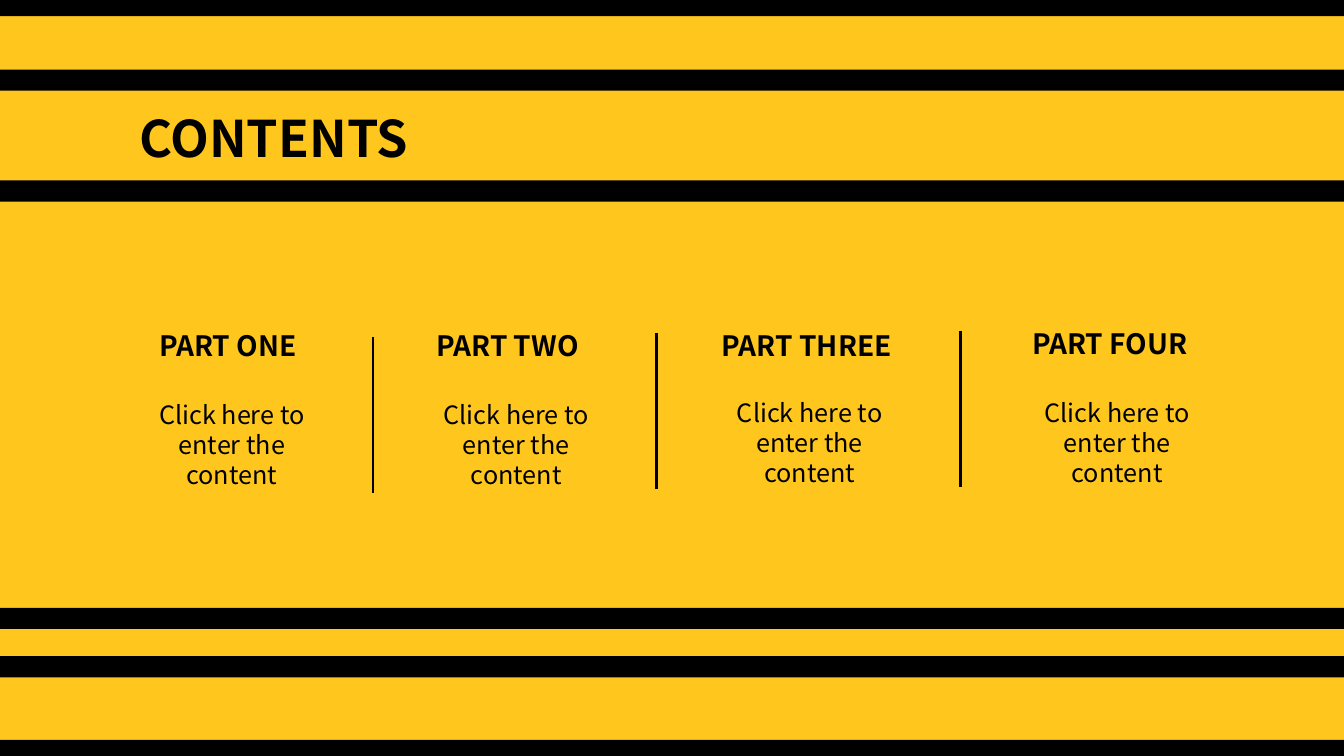
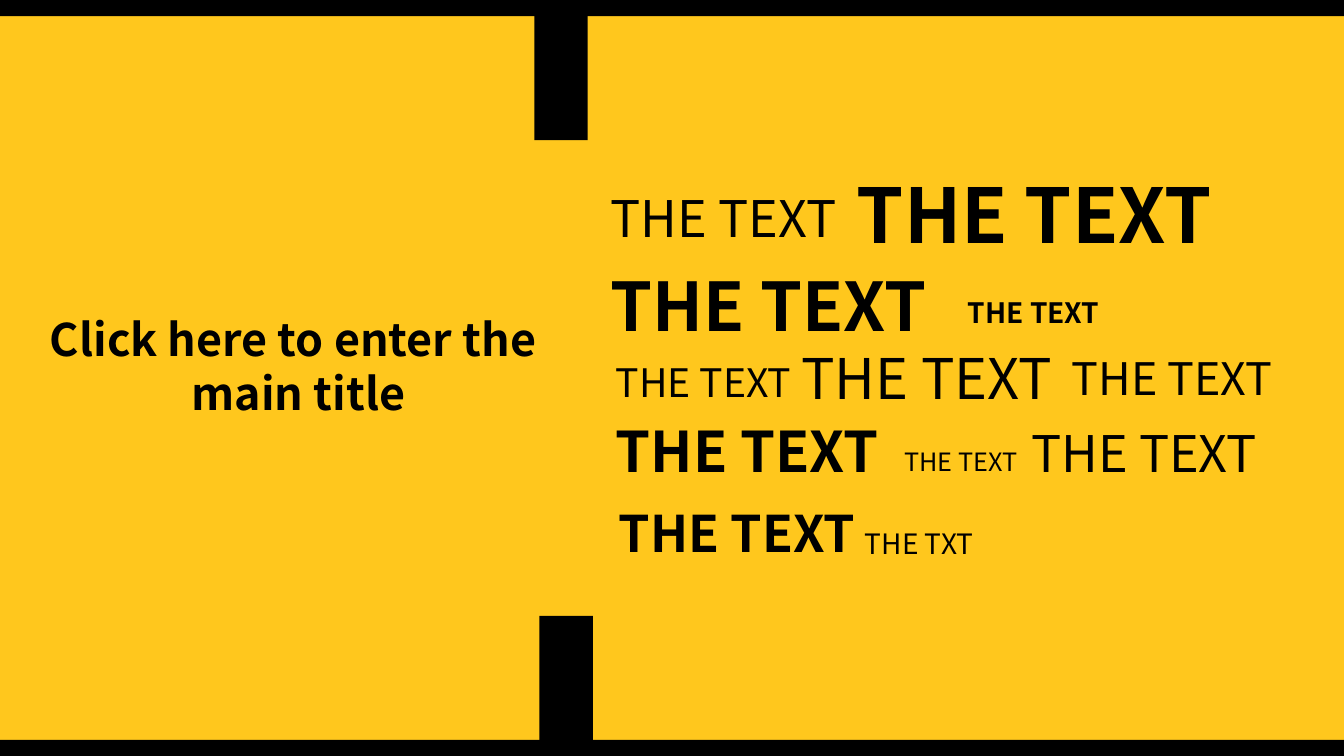
from pptx import Presentation
from pptx.dml.color import RGBColor
from pptx.enum.shapes import MSO_CONNECTOR, MSO_SHAPE
from pptx.enum.text import MSO_ANCHOR, MSO_AUTO_SIZE as AUTO, PP_ALIGN as ALIGN
from pptx.util import Inches, Pt
from lxml import etree

COLORS = {"ground": "FFC71D", "ink": "000000"}
FONT = "Noto Sans CJK SC"
WIDTH, HEIGHT = 13.33, 7.5
EDGE, STRIPE = 0.16, 0.21
DIVIDER = 1.55
TITLE_ONLY = 5
DRAWING_NS = "http://schemas.openxmlformats.org/drawingml/2006/main"

PROMPT = "Click here to enter the content"
PARTS = [
    ("PART ONE", (1.48, 3.04, 1.66), (1.41, 3.91)),
    ("PART TWO", (4.23, 3.04, 1.74), (4.23, 3.91)),
    ("PART THREE", (7.06, 3.04, 1.95), (7.14, 3.89)),
    ("PART FOUR", (10.14, 3.02, 1.83), (10.19, 3.89)),
]
DIVIDERS = [(3.7, 3.34), (6.51, 3.3), (9.53, 3.28)]
STRIPE_TOPS = [0.69, 1.79, 6.03, 6.51]

WORD = "THE TEXT"
WORDS = [
    (WORD, (5.96, 1.81, 2.5, 0.71), 36, False),
    (WORD, (8.4, 1.62, 3.9, 1.01), 54, True),
    (WORD, (5.96, 2.57, 3.49, 0.91), 48, True),
    (WORD, (9.5, 2.88, 1.57, 0.44), 20, True),
    (WORD, (6.01, 3.51, 1.99, 0.57), 28, False),
    (WORD, (7.85, 3.36, 2.76, 0.77), 40, False),
    (WORD, (10.53, 3.43, 2.25, 0.64), 32, False),
    (WORD, (6.01, 4.08, 2.94, 0.77), 40, True),
    (WORD, (8.87, 4.38, 1.35, 0.4), 18, False),
    (WORD, (10.13, 4.14, 2.5, 0.71), 36, False),
    (WORD, (6.04, 4.93, 2.67, 0.71), 36, True),
    ("THE TXT", (8.48, 5.17, 1.73, 0.44), 20, False),
]
POSTS = [(5.3, EDGE), (5.35, 6.11)]
POST_SIZE = (0.53, 1.23)


def color(name):
    return RGBColor.from_string(COLORS[name])


def write(slide, text, box, size, bold=False, align=ALIGN.LEFT, wrap=False,
          spacing=None, title=False):
    left, top, width, height = map(Inches, box)
    if title:
        holder = slide.shapes.title
        holder.left, holder.top, holder.width, holder.height = left, top, width, height
    else:
        holder = slide.shapes.add_textbox(left, top, width, height)
    frame = holder.text_frame
    frame.text = text
    frame.word_wrap = wrap
    frame.auto_size = AUTO.SHAPE_TO_FIT_TEXT
    frame.vertical_anchor = MSO_ANCHOR.TOP
    for line in frame.paragraphs:
        line.alignment = align
        if spacing:
            line.line_spacing = spacing
        for run in line.runs:
            font = run.font
            font.name, font.size, font.bold = FONT, Pt(size), bold
            font.color.rgb = color("ink")
            east_asian = etree.SubElement(font._element, f"{{{DRAWING_NS}}}ea")
            east_asian.set("typeface", FONT)


def block(slide, left, top, width, height):
    bar = slide.shapes.add_shape(
        MSO_SHAPE.RECTANGLE, *map(Inches, (left, top, width, height)))
    bar.shadow.inherit = False
    bar.fill.solid()
    bar.fill.fore_color.rgb = color("ink")
    bar.line.fill.background()


def divider(slide, x, top):
    rule = slide.shapes.add_connector(
        MSO_CONNECTOR.STRAIGHT, Inches(x), Inches(top), Inches(x), Inches(top + DIVIDER))
    rule.line.color.rgb = color("ink")
    rule.line.width = Pt(2)
    etree.SubElement(rule._element.spPr, f"{{{DRAWING_NS}}}effectLst")


def new_slide(deck):
    slide = deck.slides.add_slide(deck.slide_layouts[TITLE_ONLY])
    for top in (0, HEIGHT - EDGE):
        block(slide, 0, top, WIDTH, EDGE)
    return slide


def contents_slide(deck):
    slide = new_slide(deck)
    for top in STRIPE_TOPS:
        block(slide, 0, top, WIDTH, STRIPE)
    write(slide, "CONTENTS", (1.2, 1.01, 3.03, 0.71), 36, bold=True,
          align=ALIGN.CENTER, title=True)
    for part, heading, prompt in PARTS:
        write(slide, part, (*heading, 0.55), 20, bold=True, spacing=1.5)
        write(slide, PROMPT, (*prompt, 1.78, 1.01), 18, align=ALIGN.CENTER, wrap=True)
    for x, top in DIVIDERS:
        divider(slide, x, top)


def words_slide(deck):
    slide = new_slide(deck)
    for left, top in POSTS:
        block(slide, left, top, *POST_SIZE)
    write(slide, "Click here to enter the \nmain title", (0.29, 3.04, 5.34, 1.18), 32,
          bold=True, align=ALIGN.CENTER, title=True)
    for word, box, size, bold in WORDS:
        write(slide, word, box, size, bold=bold)


def main():
    deck = Presentation()
    deck.slide_width, deck.slide_height = Inches(WIDTH), Inches(HEIGHT)
    ground = deck.slide_master.background.fill
    ground.solid()
    ground.fore_color.rgb = color("ground")
    contents_slide(deck)
    words_slide(deck)
    deck.save("out.pptx")


if __name__ == "__main__":
    main()
